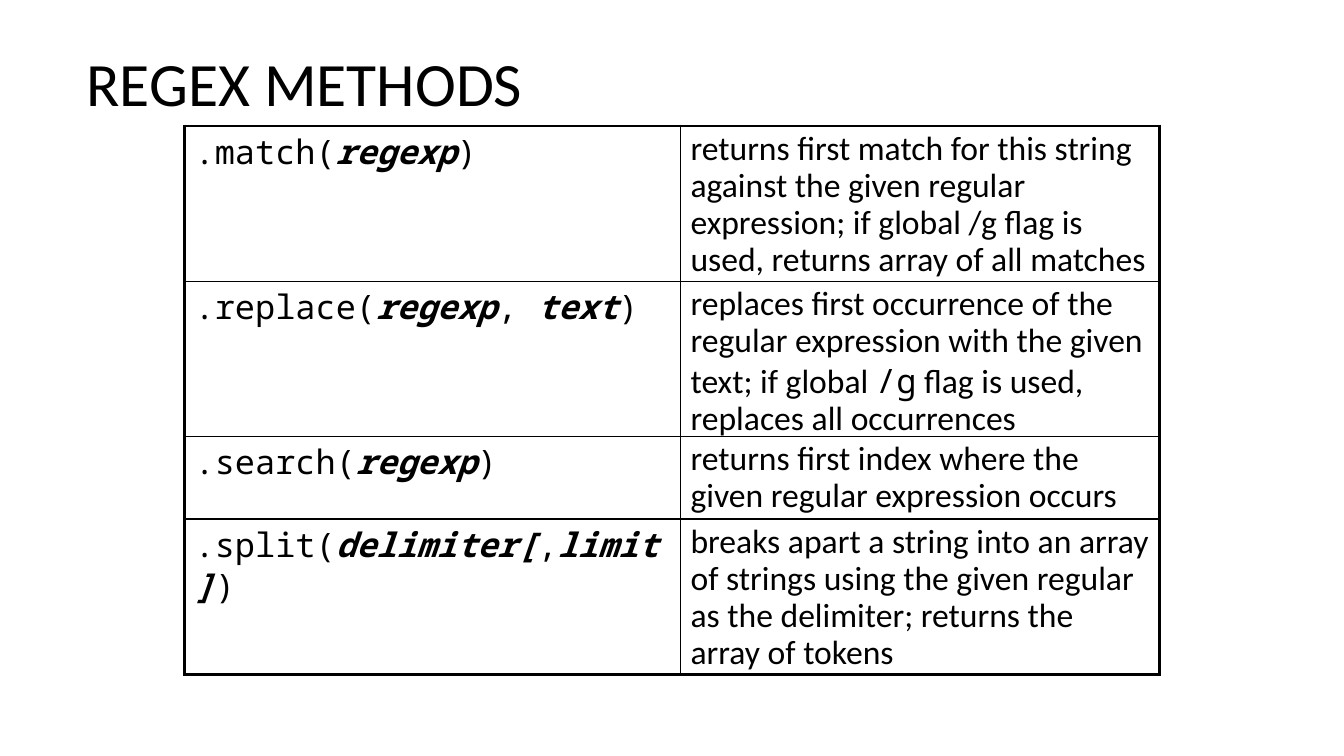
from lxml.etree import SubElement
from pptx import Presentation
from pptx.dml.color import RGBColor as RGB
from pptx.enum.text import MSO_ANCHOR as Anchor
from pptx.oxml.ns import qn
from pptx.util import Inches, Pt

COLORS = {"ink": "000000"}
SANS, MONO = "Calibri", "Noto Sans Mono"
THIN, THICK = 1, 2.25

# Each cell is a list of (kind, text) runs
ROWS = [
    (1.54,
     [("code", ".match("), ("arg", "regexp"), ("code", ")")],
     [("prose", "returns first match for this string against the given regular "
                "expression; if global /g flag is used, returns array of all matches")]),
    (1.54,
     [("code", ".replace("), ("arg", "regexp"), ("code", ", "), ("arg", "text"), ("code", ")")],
     [("prose", "replaces first occurrence of the regular expression with the "
                "given text; if global "),
      ("code", "/g"), ("prose", " flag is used, replaces all occurrences")]),
    (0.82,
     [("code", ".search("), ("arg", "regexp"), ("code", ")")],
     [("prose", "returns first index where the given regular expression occurs")]),
    (1.54,
     [("code", ".split("), ("arg", "delimiter["), ("code", ","), ("arg", "limit]"), ("code", ")")],
     [("prose", "breaks apart a string into an array of strings using the given "
                "regular as the delimiter; returns the array of tokens")]),
]
WIDTHS = (4.92, 4.75)


def write(para, runs, size):
    para.line_spacing = 0.9
    para.font.size = Pt(size)
    para.font.color.rgb = RGB.from_string(COLORS["ink"])
    for kind, text in runs:
        run = para.add_run()
        run.text = text
        run.font.name = SANS if kind == "prose" else MONO
        if kind == "arg":
            run.font.bold = run.font.italic = True


def add_title(slide, text):
    box = slide.shapes.add_textbox(Inches(0.76), Inches(0.13), Inches(11.5), Inches(1.45))
    frame = box.text_frame
    frame.word_wrap = True
    frame.vertical_anchor = Anchor.MIDDLE
    write(frame.paragraphs[0], [("prose", text)], 44)


def set_edges(cell, edges):
    props = cell._tc.get_or_add_tcPr()
    for spot, (side, width) in enumerate(edges.items()):
        line = SubElement(props, qn(f"a:ln{side}"), w=str(Pt(width)))
        fill = SubElement(line, qn("a:solidFill"))
        SubElement(fill, qn("a:srgbClr"), val=COLORS["ink"])
        props.insert(spot, line)  # edges come before the cell fill


def add_grid(slide):
    high = sum(row[0] for row in ROWS)
    frame = slide.shapes.add_table(len(ROWS), len(WIDTHS), Inches(1.83), Inches(1.25),
                                   Inches(sum(WIDTHS)), Inches(high))
    table = frame.table
    table.first_row = table.horz_banding = False
    for col, width in zip(table.columns, WIDTHS):
        col.width = Inches(width)
    last, end = len(ROWS) - 1, len(WIDTHS) - 1
    for r, (height, *cells) in enumerate(ROWS):
        table.rows[r].height = Inches(height)
        for c, runs in enumerate(cells):
            cell = table.cell(r, c)
            cell.fill.background()
            write(cell.text_frame.paragraphs[0], runs, 24)
            # Thick outer frame, thin inner lines
            outer = {"L": c == 0, "R": c == end, "T": r == 0, "B": r == last}
            set_edges(cell, {side: THICK if out else THIN for side, out in outer.items()})


def main():
    deck = Presentation()
    deck.slide_width, deck.slide_height = Inches(13.33), Inches(7.5)
    slide = deck.slides.add_slide(deck.slide_layouts[6])
    add_title(slide, "REGEX METHODS")
    add_grid(slide)
    deck.save("out.pptx")


if __name__ == "__main__":
    main()
